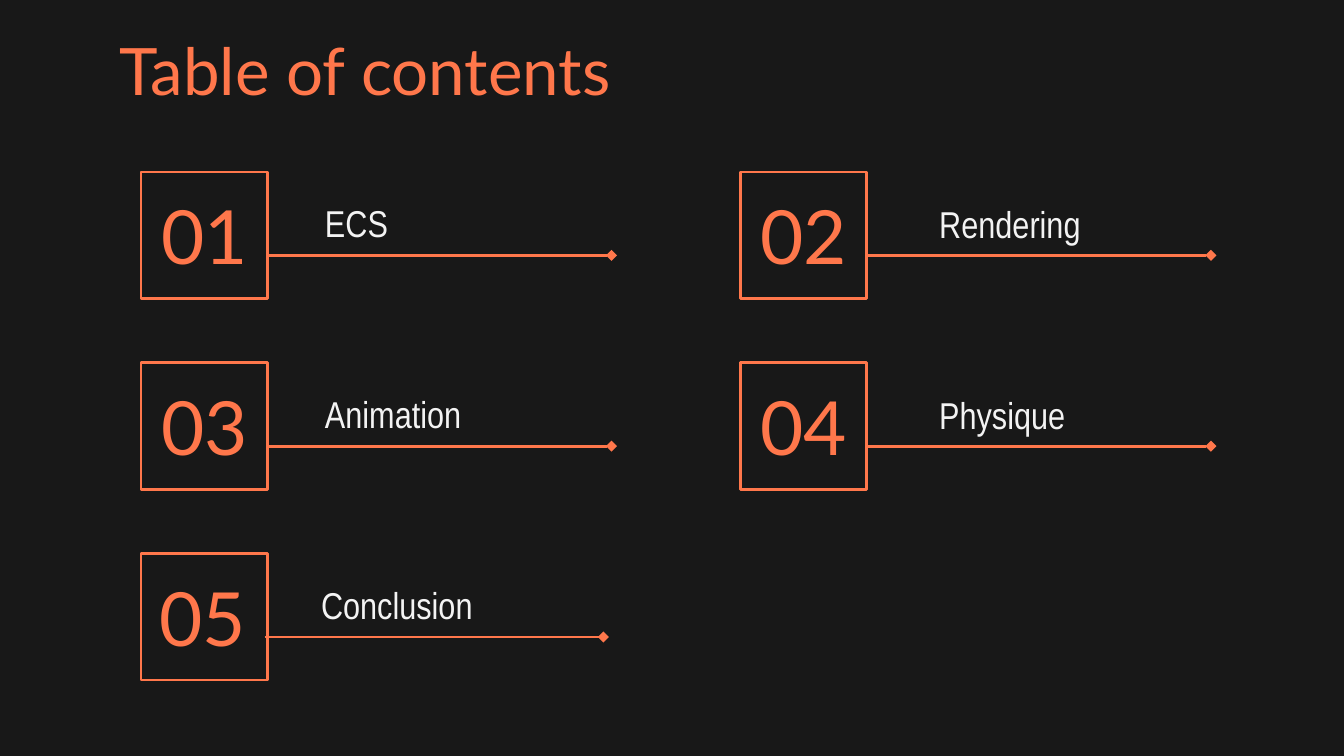
from lxml.etree import SubElement
from pptx import Presentation
from pptx.dml.color import RGBColor
from pptx.enum.shapes import MSO_CONNECTOR, MSO_SHAPE
from pptx.enum.text import MSO_ANCHOR, PP_ALIGN
from pptx.oxml.ns import qn
from pptx.util import Emu, Pt

EMU_PER_PX = 9144  # 100 px to the inch
SLIDE_WIDTH = 1000
BACKGROUND, ORANGE, WHITE = "181818", "FF774B", "F3F3F3"
LEFT, TOP = 105, 128
COLUMN_PITCH, ROW_PITCH = 446, 142
BOX_SIZE = 94
LINE_DROP = 62

# number, label, label left and drop from its box, label width, line start and end, number width
ENTRIES = [
    ("01", "ECS", 127, 14, 226, 94, 350, 114),
    ("02", "Rendering", 138, 15, 226, 94, 350, 114),
    ("03", "Animation", 127, 14, 226, 94, 350, 114),
    ("04", "Physique", 138, 15, 226, 94, 350, 114),
    ("05", "Conclusion", 124, 14, 222, 92, 344, 112),
]


def px(length):
    return Emu(length * EMU_PER_PX)


def color(hex_string):
    return RGBColor.from_string(hex_string)


def add_text(slide, text, left, top, width, height, *, font, size, fill, align=PP_ALIGN.LEFT):
    text_box = slide.shapes.add_textbox(px(left), px(top), px(width), px(height))
    frame = text_box.text_frame
    frame.word_wrap = True
    frame.vertical_anchor = MSO_ANCHOR.MIDDLE
    frame.margin_left = frame.margin_right = px(10)
    frame.margin_top = frame.margin_bottom = px(10)
    paragraph = frame.paragraphs[0]
    paragraph.alignment = align
    run = paragraph.add_run()
    run.text = text
    run.font.name = font
    run.font.size = Pt(size)
    run.font.color.rgb = color(fill)


def style_line(line):
    line.color.rgb = color(ORANGE)
    line.width = Pt(1.5)


def add_number_box(slide, left, top):
    shape = slide.shapes.add_shape(
        MSO_SHAPE.RECTANGLE, px(left), px(top), px(BOX_SIZE), px(BOX_SIZE)
    )
    shape.shadow.inherit = False
    shape.fill.background()
    style_line(shape.line)


def add_diamond_line(slide, start, end, y):
    """Add a horizontal line that ends in a diamond."""
    connector = slide.shapes.add_connector(
        MSO_CONNECTOR.STRAIGHT, px(start), px(y), px(end), px(y)
    )
    style_line(connector.line)
    properties = connector._element.spPr
    SubElement(properties.find(qn("a:ln")), qn("a:tailEnd"), type="diamond")
    SubElement(properties, qn("a:effectLst"))


def add_entry(slide, index, entry):
    number, label, label_left, label_drop, label_width, start, end, number_width = entry
    row, column = divmod(index, 2)
    left = LEFT + column * COLUMN_PITCH
    top = TOP + row * ROW_PITCH
    add_number_box(slide, left, top)
    add_text(slide, number, left - 10, top + 10, number_width, 73,
             font="Lato", size=40, fill=ORANGE, align=PP_ALIGN.CENTER)
    add_text(slide, label, left + label_left, top + label_drop, label_width, 47,
             font="Arial Narrow", size=20, fill=WHITE)
    add_diamond_line(slide, left + start, left + end, top + LINE_DROP)


def main():
    presentation = Presentation()
    presentation.slide_width = px(SLIDE_WIDTH)
    presentation.slide_height = px(SLIDE_WIDTH) * 9 // 16
    slide = presentation.slides.add_slide(presentation.slide_layouts[6])
    slide.background.fill.solid()
    slide.background.fill.fore_color.rgb = color(BACKGROUND)

    add_text(slide, "Table of contents", 79, 20, 843, 63, font="Lato", size=35, fill=ORANGE)
    for index, entry in enumerate(ENTRIES):
        add_entry(slide, index, entry)

    presentation.save("out.pptx")


if __name__ == "__main__":
    main()
